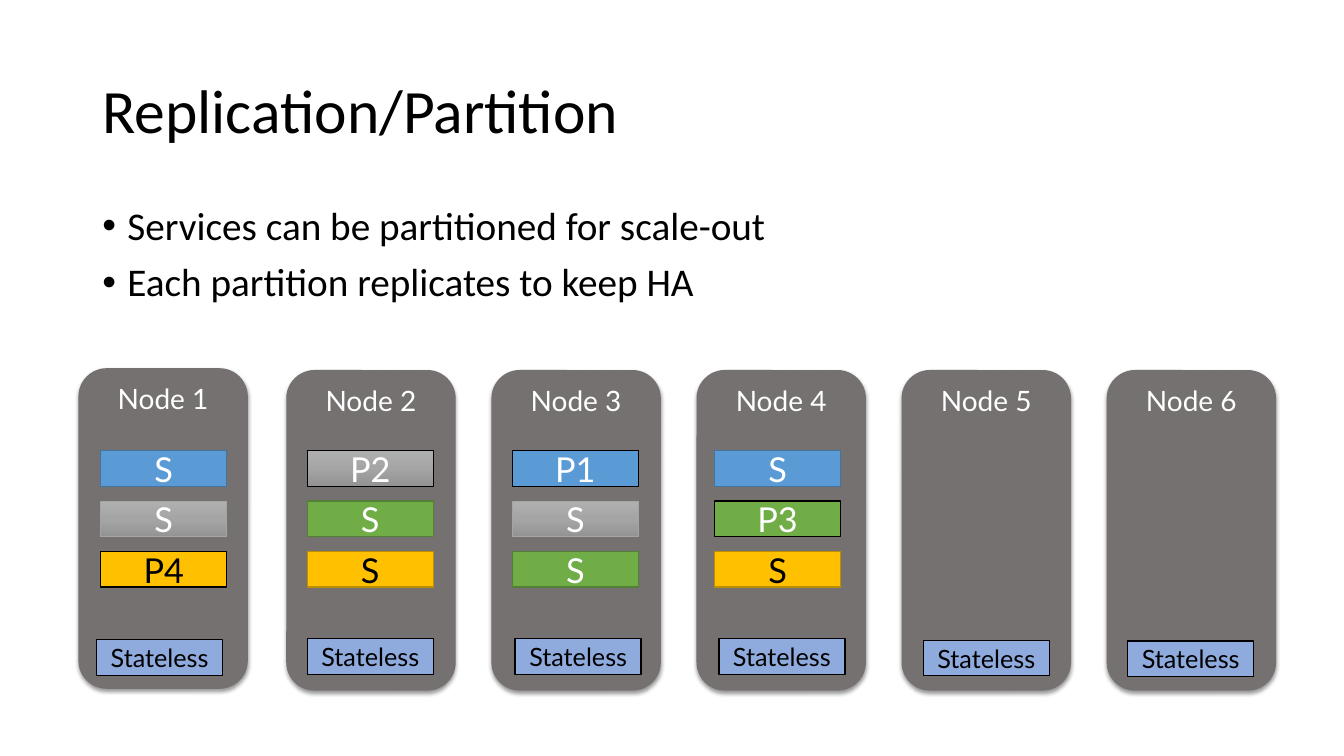
from dataclasses import dataclass

from lxml import etree
from pptx import Presentation
from pptx import util as u
from pptx.dml import color
from pptx.enum import shapes, text
from pptx.oxml import ns


@dataclass(frozen=True)
class Theme:
    heading_font: str = "Calibri"
    label_font: str = "Lato"
    title_size: float = 44
    body_size: float = 28
    node_size: float = 20
    replica_size: float = 24.5
    stateless_size: float = 18
    black: str = "000000"
    white: str = "FFFFFF"
    node: str = "767171"
    stateless: str = "8FAADC"
    gradient: tuple = ((0, "AFAFAF"), (50, "A5A5A5"), (100, "939393"))


THEME = Theme()
PARTITIONS = {
    1: {"fill": "5B9BD5", "line": "43739E", "font": THEME.white, "width": 1},
    2: {"fill": THEME.gradient, "line": "A5A5A5", "font": THEME.white, "width": 0.5},
    3: {"fill": "70AD47", "line": "538035", "font": THEME.white, "width": 1},
    4: {"fill": "FFC000", "line": "BD8E00", "font": THEME.black, "width": 1},
}
NODE_SIZE = (121, 229)
BOX_SIZE = (90, 25.4)
NODE_LEFTS = [56] + [204.5 + 146.5 * step for step in range(5)]
NODE_TOPS = [263] + [264.3] * 5
REPLICA_LEFTS = [72, 219.5, 366, 510.5]
REPLICA_TOP, REPLICA_PITCH = 322, 36
STATELESS_LEFTS = [69, 219.5, 368, 513.5, 659.5, 805.5]
STATELESS_TOPS = [457] + [456.3] * 3 + [457.3, 457.8]
REPLICAS = [
    [(1, "S"), (2, "S"), (4, "P4")],
    [(2, "P2"), (3, "S"), (4, "S")],
    [(1, "P1"), (2, "S"), (3, "S")],
    [(1, "S"), (3, "P3"), (4, "S")],
]


def rgb(value):
    return color.RGBColor.from_string(value)


def apply(target, formats):
    for name, value in formats.items():
        setattr(target, name, value)


def add_element(parent, tag, **attributes):
    element = etree.SubElement(parent, ns.qn(tag))
    for name, value in attributes.items():
        element.set(name, str(value))
    return element


def write(paragraph, content, font, size, font_color, **formats):
    run = paragraph.add_run()
    run.text = content
    apply(run.font, {"name": font, "size": u.Pt(size)})
    run.font.color.rgb = rgb(font_color)
    apply(paragraph, formats)


def fill_gradient(shape, stops):
    properties = shape._element.spPr
    gradient = add_element(properties, "a:gradFill", rotWithShape=1)
    stop_list = add_element(gradient, "a:gsLst")
    for position, value in stops:
        stop = add_element(stop_list, "a:gs", pos=position * 1000)
        add_element(stop, "a:srgbClr", val=value)
    add_element(gradient, "a:lin", ang=90 * 60000, scaled=0)


def add_text_box(slide, place, lines, size, anchor, bullet=False, **formats):
    frame = slide.shapes.add_textbox(*map(u.Pt, place)).text_frame
    apply(frame, {"word_wrap": True, "vertical_anchor": anchor})
    for index, line in enumerate(lines):
        paragraph = frame.add_paragraph() if index else frame.paragraphs[0]
        write(paragraph, line, THEME.heading_font, size, THEME.black,
              line_spacing=0.9, **formats)
        if bullet:
            properties = paragraph._p.get_or_add_pPr()
            apply_indent = {"marL": u.Pt(18), "indent": -u.Pt(18)}
            for name, value in apply_indent.items():
                properties.set(name, str(int(value)))
            add_element(properties, "a:buFont", typeface="Arial")
            add_element(properties, "a:buChar", char="•")


def add_block(slide, preset, place, fill, label, size, font_color, anchor):
    shape = slide.shapes.add_shape(preset, *map(u.Pt, place))
    if isinstance(fill, str):
        shape.fill.solid()
        shape.fill.fore_color.rgb = rgb(fill)
    else:
        fill_gradient(shape, fill)
    shape.shadow.inherit = False
    shape.text_frame.vertical_anchor = anchor
    write(shape.text_frame.paragraphs[0], label, THEME.label_font, size,
          font_color, alignment=text.PP_ALIGN.CENTER)
    return shape


def add_node(slide, left, top, label):
    shape = add_block(slide, shapes.MSO_SHAPE.ROUNDED_RECTANGLE,
                      (left, top, *NODE_SIZE), THEME.node, label,
                      THEME.node_size, THEME.white, text.MSO_ANCHOR.TOP)
    shape.line.fill.background()
    effects = shape._element.spPr.find(ns.qn("a:effectLst"))
    shadow = add_element(effects, "a:outerShdw", blurRad=int(u.Pt(3)),
                         dist=int(u.Pt(2)), dir=90 * 60000, rotWithShape=0)
    shade = add_element(shadow, "a:srgbClr", val=THEME.black)
    add_element(shade, "a:alpha", val=40000)


def add_box(slide, left, top, label, size, fill, line, font, width):
    shape = add_block(slide, shapes.MSO_SHAPE.RECTANGLE, (left, top, *BOX_SIZE),
                      fill, label, size, font, text.MSO_ANCHOR.MIDDLE)
    shape.line.width = u.Pt(width)
    shape.line.color.rgb = rgb(line)


def add_replica(slide, left, row, partition, label):
    style = dict(PARTITIONS[partition])
    if label.startswith("P"):
        style["line"] = THEME.black
    add_box(slide, left, REPLICA_TOP + row * REPLICA_PITCH, label,
            THEME.replica_size, **style)


def main():
    presentation = Presentation()
    apply(presentation, {"slide_width": u.Pt(960), "slide_height": u.Pt(540)})
    slide = presentation.slides.add_slide(presentation.slide_layouts[6])
    add_text_box(slide, (66, 28.8, 828, 104.4), ["Replication/Partition"],
                 THEME.title_size, text.MSO_ANCHOR.MIDDLE)
    add_text_box(slide, (66, 144, 828, 342.7),
                 ["Services can be partitioned for scale-out",
                  "Each partition replicates to keep HA"],
                 THEME.body_size, text.MSO_ANCHOR.TOP, bullet=True,
                 space_before=u.Pt(10))
    for number, (left, top) in enumerate(zip(NODE_LEFTS, NODE_TOPS), 1):
        add_node(slide, left, top, f"Node {number}")
    for left, replicas in zip(REPLICA_LEFTS, REPLICAS):
        for row, (partition, label) in enumerate(replicas):
            add_replica(slide, left, row, partition, label)
    for left, top in zip(STATELESS_LEFTS, STATELESS_TOPS):
        add_box(slide, left, top, "Stateless", THEME.stateless_size,
                THEME.stateless, THEME.black, THEME.black, 1)
    presentation.save("out.pptx")


main()
